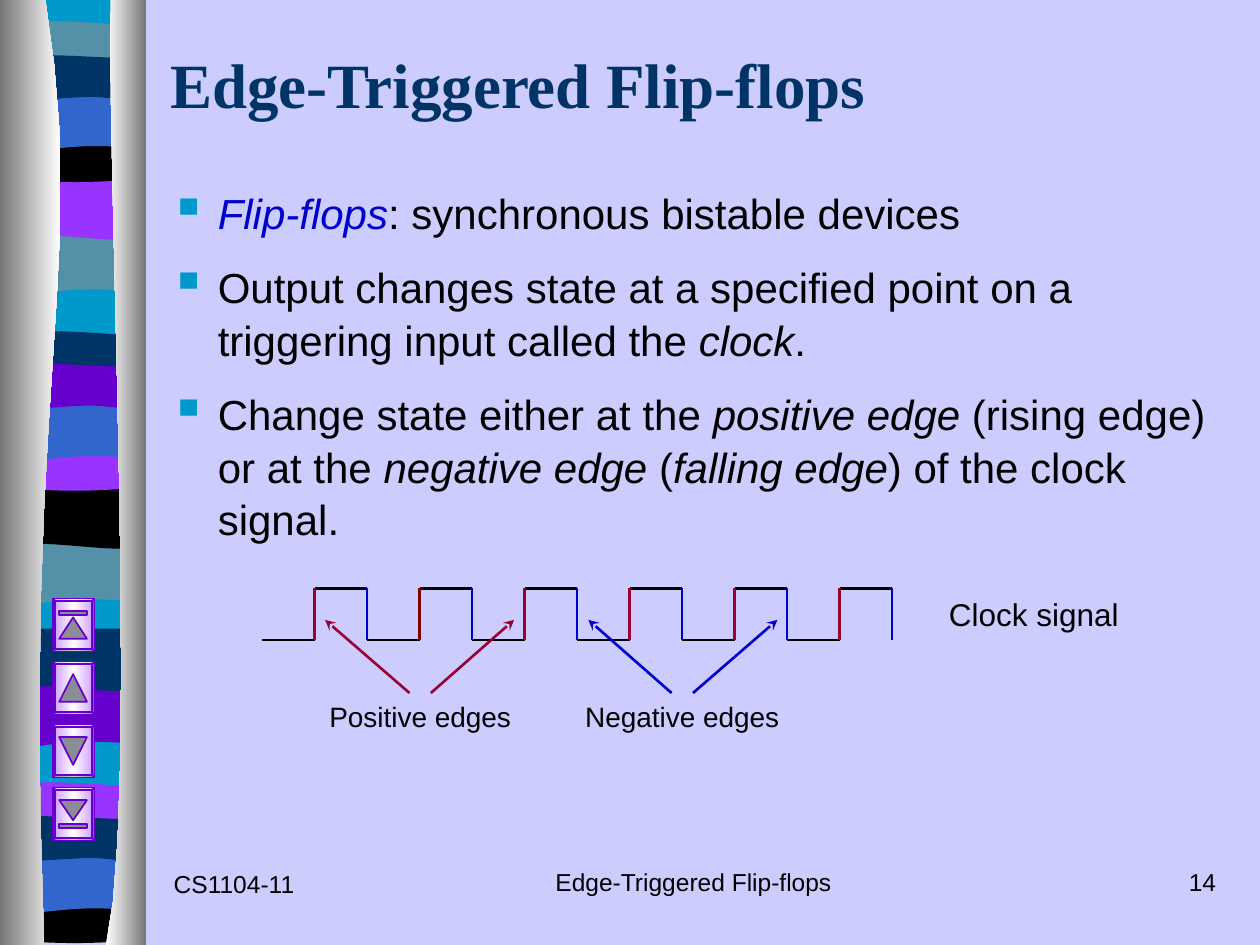
"""Build the slide on edge-triggered flip-flops with its clock diagram."""
from dataclasses import dataclass

from lxml import etree
from pptx import Presentation
from pptx.dml.color import RGBColor
from pptx.enum.shapes import MSO_CONNECTOR, MSO_SHAPE
from pptx.enum.text import MSO_ANCHOR, PP_ALIGN
from pptx.oxml.ns import qn
from pptx.util import Inches, Pt

STRAIGHT = MSO_CONNECTOR.STRAIGHT
BEVEL, TRIANGLE, BAR = MSO_SHAPE.BEVEL, MSO_SHAPE.ISOSCELES_TRIANGLE, MSO_SHAPE.RECTANGLE
LEFT, CENTER, RIGHT = PP_ALIGN.LEFT, PP_ALIGN.CENTER, PP_ALIGN.RIGHT
BLACK, NAVY, SKY, STEEL = "000000", "003366", "0099CC", "5490A8"
BLUE, VIOLET, PURPLE = "3366CC", "9933FF", "6600CC"
RISE, FALL = "990033", "0000CC"

TAIL = [(1.08, 0), (1.08, 0.47), (0.33, 0.39, 0.18, 0.55, 0, 0.47), (0, 0)]
SWELL = [(1.08, 0), (1.08, 0.47), (0.9, 0.55, 0.33, 0.41, 0, 0.47), (0, 0)]
THIN = [(1.08, 0.05), (1.08, 0.29), (0.9, 0.33, 0.18, 0.33, 0, 0.29), (0, 0.05),
        (0.06, 0, 0.23, 0.01, 0.41, 0.01), (0.59, 0.01, 0.94, 0.04, 1.08, 0.05)]
SAG = [(1.08, 0), (1.08, 0.32), (0.9, 0.38, 0.18, 0.38, 0, 0.32), (0, 0),
       (0.66, 0.05, 0.85, 0, 1.08, 0)]
ARCH = [(1.08, 0), (1.08, 0.47), (0.91, 0.42, 0.84, 0.42, 0.66, 0.42),
        (0.48, 0.42, 0.16, 0.47, 0, 0.47), (0, 0)]
RIPPLE = [(1.08, 0.05), (1.08, 0.36), (1.01, 0.41, 0.84, 0.36, 0.66, 0.36),
          (0.48, 0.36, 0.11, 0.41, 0, 0.36), (0, 0.05),
          (0.15, 0, 0.73, 0.05, 0.91, 0.05), (1.08, 0.05)]
FULL = [(1.08, 0), (1.08, 7.48), (0, 7.48), (0, 0)]
LEFT_COLUMN = [(0.36, 0), (0.71, 2.16, 0.17, 2.96, 0.35, 7.5), (0, 7.5), (0, 0)]
RIGHT_COLUMN = [(0.88, 0), (0.84, 1.25, 1.11, 6.46, 0.84, 7.5), (1.16, 7.5), (1.16, 0)]


@dataclass
class Band:
    """A wavy stripe of the side border."""
    outline: list
    top: float
    color: str
    left: float = 0.06


@dataclass
class Label:
    """A one-line text box."""
    text: str
    left: float
    top: float
    width: float
    size: int
    align: PP_ALIGN = CENTER


@dataclass
class Button:
    """A navigation button with a triangle and an optional bar."""
    top: float
    triangle_top: float
    triangle_height: float
    points_down: bool
    bar_top: float | None = None


BANDS = [
    Band(FULL, 0, SKY),
    Band(TAIL, 1.85, STEEL), Band(SWELL, 1.41, VIOLET), Band(THIN, 0.16, STEEL),
    Band(SAG, 1.08, BLACK), Band(ARCH, 0.74, BLUE), Band(RIPPLE, 0.41, NAVY),
    Band(TAIL, 4.31, STEEL, 0.05), Band(SWELL, 3.86, BLACK, 0.05), Band(THIN, 2.62, NAVY, 0.05),
    Band(SAG, 3.53, VIOLET, 0.05), Band(ARCH, 3.2, BLUE, 0.05), Band(RIPPLE, 2.86, PURPLE, 0.05),
    Band(TAIL, 5.44, PURPLE), Band(SWELL, 4.99, NAVY), Band(THIN, 6.2, VIOLET, 0.05),
    Band(SAG, 7.12, BLACK, 0.05), Band(ARCH, 6.79, BLUE, 0.05), Band(RIPPLE, 6.45, NAVY, 0.05),
]
LABELS = [
    Label("CS1104-11", 1.28, 6.85, 2.08, 14, LEFT),
    Label("Edge-Triggered Flip-flops", 3.92, 6.83, 3.17, 14),
    Label("14", 7.67, 6.83, 2.08, 14, RIGHT),
    Label("Positive edges", 2.5, 5.5, 1.67, 16),
    Label("Negative edges", 4.5, 5.5, 1.83, 16),
    Label("Clock signal", 7.33, 4.67, 1.75, 18),
]
BUTTONS = [
    Button(4.75, 0.15, 0.17, False, 0.1),
    Button(5.25, 0.1, 0.22, False),
    Button(5.75, 0.1, 0.22, True),
    Button(6.25, 0.1, 0.16, True, 0.29),
]
POINTS = [
    [("Flip-flops", True), (": synchronous bistable devices", False)],
    [("Output changes state at a specified point on a triggering input called the ", False),
     ("clock", True), (".", False)],
    [("Change state either at the ", False), ("positive edge", True),
     (" (rising edge) or at the ", False), ("negative edge", True), (" (", False),
     ("falling edge", True), (") of the clock signal.", False)],
]
ARROWS = [(3.25, 2.58, RISE), (3.42, 4.08, RISE), (5.5, 6.17, FALL), (5.33, 4.67, FALL)]


def rgb(color: str) -> RGBColor:
    """Turn a hex string into a colour."""
    return RGBColor.from_string(color)


def set_gradient(shape, stops: list) -> None:
    """Fill a shape with a left-to-right gradient."""
    shape.fill.gradient()
    shape.fill.gradient_angle = 0
    stop_list = shape._element.spPr.find(qn("a:gradFill")).find(qn("a:gsLst"))
    for stop in list(stop_list):
        stop_list.remove(stop)
    for position, color in stops:
        stop = etree.SubElement(stop_list, qn("a:gs"), pos=str(position * 1000))
        etree.SubElement(stop, qn("a:srgbClr"), val=color)


def add_outline(page, steps: list, left: float = 0, top: float = 0):
    """Draw a closed outline whose six-number steps are Bezier curves."""
    points = []
    for step in steps:
        if len(step) == 2:
            points.append(step)
            continue
        start, knots = points[-1], [step[0:2], step[2:4], step[4:6]]
        for t in (n / 12 for n in range(1, 13)):
            weights = ((1 - t) ** 3, 3 * t * (1 - t) ** 2, 3 * t * t * (1 - t), t ** 3)
            points.append(tuple(sum(w * p[axis] for w, p in zip(weights, [start, *knots]))
                                for axis in (0, 1)))
    placed = [(Inches(left + x), Inches(top + y)) for x, y in points]
    builder = page.shapes.build_freeform(*placed[0])
    builder.add_line_segments(placed[1:], close=True)
    shape = builder.convert_to_shape()
    shape.shadow.inherit = False
    shape.line.fill.background()
    return shape


def add_line(page, start: tuple, end: tuple, color: str, arrow: bool = False) -> None:
    """Draw a straight line, with an arrowhead at its end if asked."""
    line = page.shapes.add_connector(STRAIGHT, *map(Inches, start + end))
    line.line.color.rgb, line.line.width = rgb(color), Pt(1.5)
    if arrow:
        etree.SubElement(line.line._get_or_add_ln(), qn("a:tailEnd"), type="stealth")
    etree.SubElement(line._element.spPr, qn("a:effectLst"))


def add_preset(page, kind, left: float, top: float, width: float, height: float):
    """Draw a purple-edged preset shape."""
    shape = page.shapes.add_shape(kind, *map(Inches, (left, top, width, height)))
    shape.shadow.inherit = False
    shape.line.color.rgb, shape.line.width = rgb(PURPLE), Pt(1)
    return shape


def add_button(page, button: Button) -> None:
    """Draw a bevelled navigation button."""
    frame = add_preset(page, BEVEL, 0.42, button.top, 0.33, 0.42)
    frame.adjustments[0] = 0.06
    set_gradient(frame, [(0, "CC99FF"), (50, "FFFFFF"), (100, "CC99FF")])
    triangle = add_preset(page, TRIANGLE, 0.47, button.top + button.triangle_top,
                          0.22, button.triangle_height)
    triangle.rotation = 180 if button.points_down else 0
    marks = [triangle]
    if button.bar_top is not None:
        marks.append(add_preset(page, BAR, 0.47, button.top + button.bar_top, 0.22, 0.03))
    for mark in marks:
        mark.fill.solid()
        mark.fill.fore_color.rgb = rgb("8C8C94")


def add_text_box(page, left: float, top: float, width: float, height: float):
    """Add a wrapping text box and return its text frame."""
    frame = page.shapes.add_textbox(*map(Inches, (left, top, width, height))).text_frame
    frame.word_wrap = True
    return frame


def set_font(font, name: str, size: int, color: str) -> None:
    """Set the face, size and colour of a font."""
    font.name, font.size, font.color.rgb = name, Pt(size), rgb(color)


def add_label(page, label: Label) -> None:
    """Write a one-line label."""
    para = add_text_box(page, label.left, label.top, label.width, 0.4).paragraphs[0]
    para.text, para.alignment = label.text, label.align
    set_font(para.font, "Arial", label.size, BLACK)


def add_points(page) -> None:
    """Write the bulleted points."""
    frame = add_text_box(page, 1.25, 1.42, 8.42, 2.83)
    for index, spans in enumerate(POINTS):
        para = frame.add_paragraph() if index else frame.paragraphs[0]
        para.line_spacing = 1.05
        if index:
            para.space_before = Pt(12)
        properties = para._p.get_or_add_pPr()
        properties.set("marL", str(Inches(0.38)))
        properties.set("indent", str(-Inches(0.38)))
        color = etree.SubElement(properties, qn("a:buClr"))
        etree.SubElement(color, qn("a:srgbClr"), val=SKY)
        etree.SubElement(properties, qn("a:buSzPct"), val="120000")
        etree.SubElement(properties, qn("a:buChar"), char="▪")
        set_font(para.font, "Arial", 24, BLACK)
        for text, italic in spans:
            span = para.add_run()
            span.text, span.font.italic = text, italic
    frame.paragraphs[0].runs[0].font.color.rgb = rgb(FALL)


def add_clock(page) -> None:
    """Draw six clock periods and the arrows to their edges."""
    half, high, low = 5 / 12, 4.67, 5.08
    for period in range(6):
        start = 2.08 + 2 * half * period
        rise, fall = start + half, start + 2 * half
        add_line(page, (start, low), (rise, low), BLACK)
        add_line(page, (rise, high), (fall, high), BLACK)
        add_line(page, (rise, high), (rise, low), "800000" if period == 1 else RISE)
        add_line(page, (fall, high), (fall, low), FALL)
    for start, end, color in ARROWS:
        add_line(page, (start, 5.5), (end, 4.92), color, arrow=True)


def main() -> None:
    """Build and save the deck."""
    deck = Presentation()
    deck.slide_width, deck.slide_height = Inches(10), Inches(7.5)
    page = deck.slides.add_slide(deck.slide_layouts[5])
    page.background.fill.solid()
    page.background.fill.fore_color.rgb = rgb("CCCCFF")
    for band in BANDS:
        stripe = add_outline(page, band.outline, band.left, band.top)
        stripe.fill.solid()
        stripe.fill.fore_color.rgb = rgb(band.color)
    set_gradient(add_outline(page, LEFT_COLUMN), [(0, "767676"), (100, "FFFFFF")])
    set_gradient(add_outline(page, RIGHT_COLUMN), [(0, "FFFFFF"), (100, "767676")])
    title = page.shapes.title
    title.left, title.top, title.width, title.height = map(Inches, (1.25, 0.25, 8.5, 0.83))
    title.text_frame.text = "Edge-Triggered Flip-flops"
    title.text_frame.vertical_anchor = MSO_ANCHOR.MIDDLE
    para = title.text_frame.paragraphs[0]
    para.alignment, para.font.bold = LEFT, True
    set_font(para.font, "Times New Roman", 36, NAVY)
    add_points(page)
    add_clock(page)
    for label in LABELS:
        add_label(page, label)
    for button in BUTTONS:
        add_button(page, button)
    deck.save("out.pptx")


if __name__ == "__main__":
    main()
